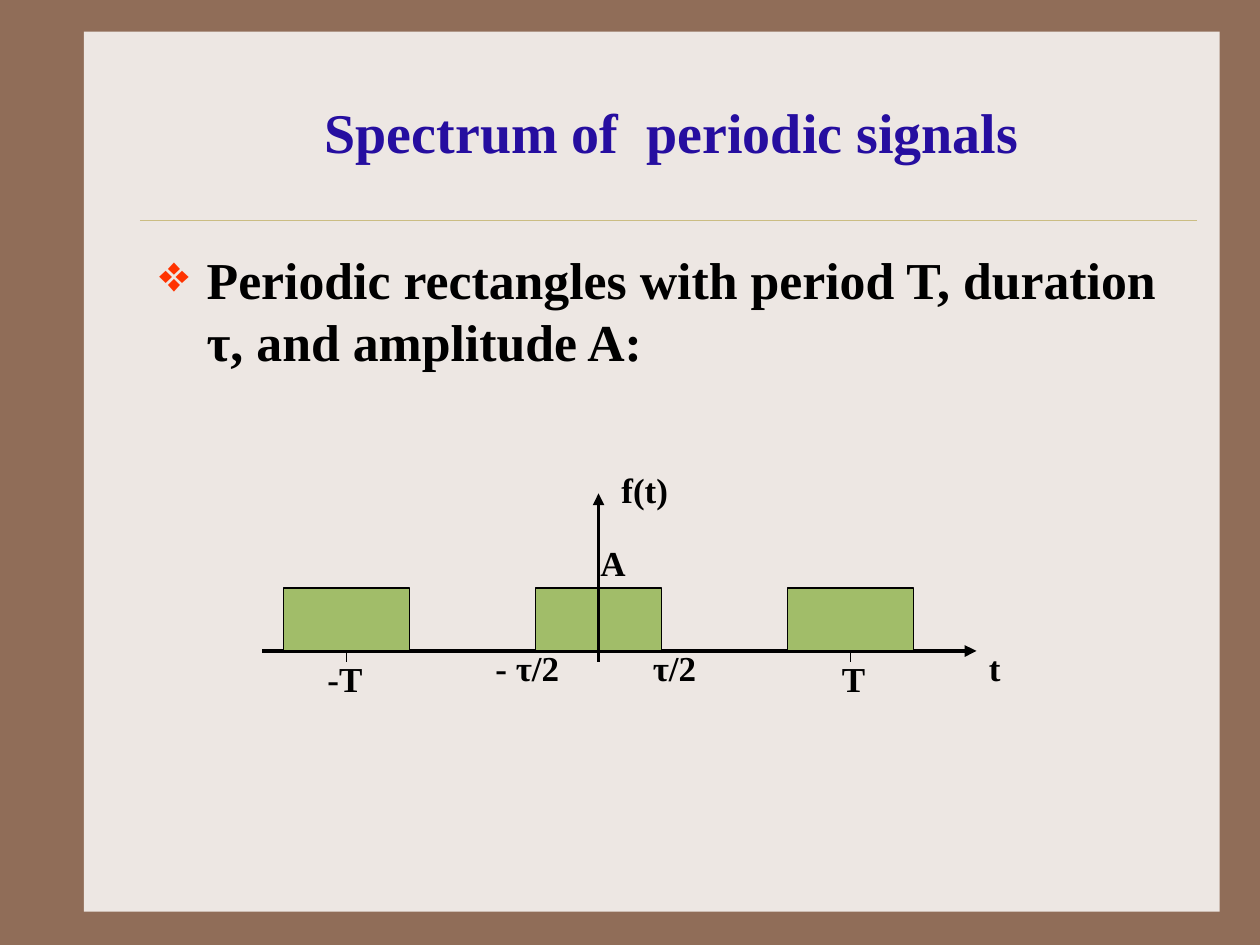
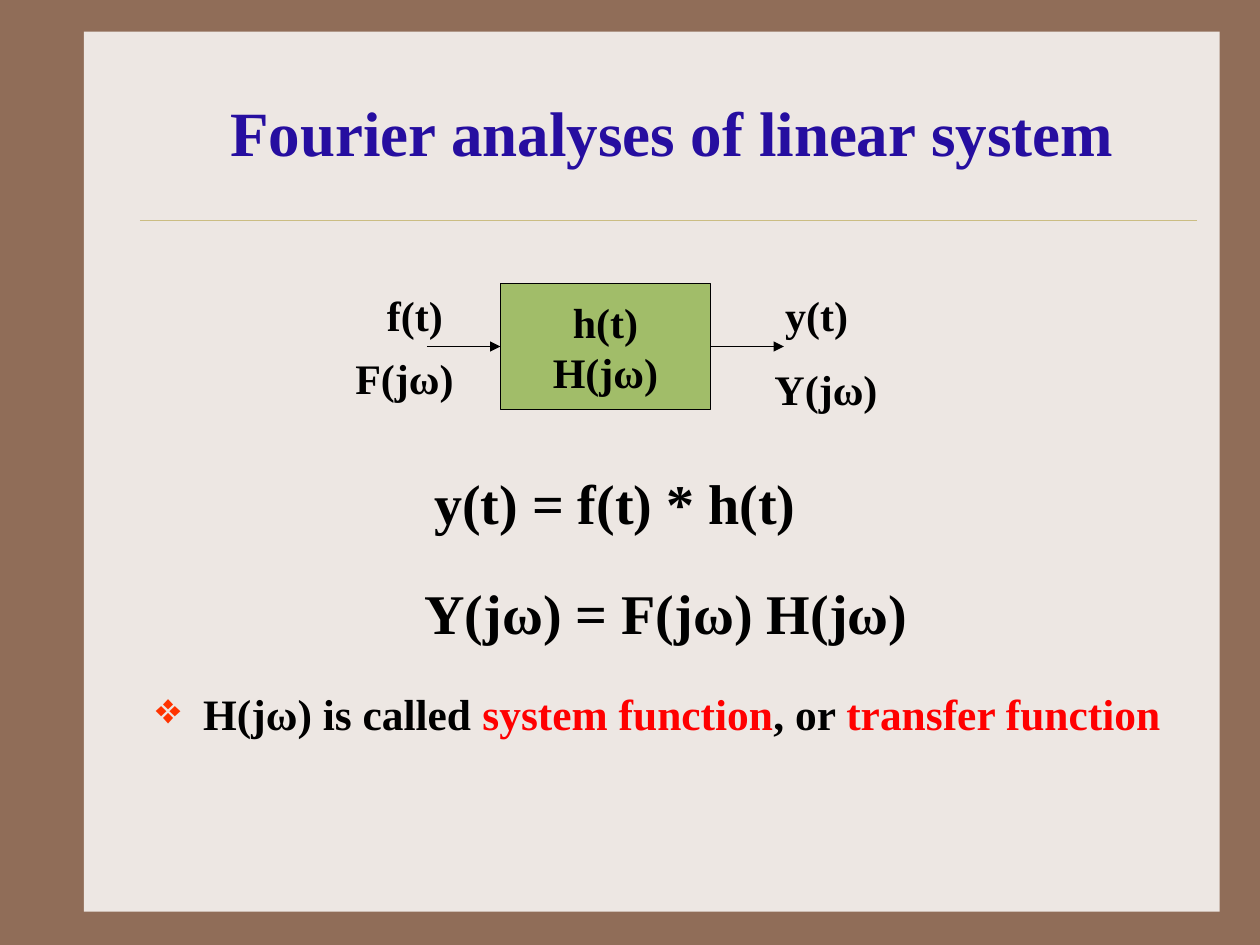
from pptx import Presentation
from pptx.dml.color import RGBColor
from pptx.enum.shapes import MSO_CONNECTOR, MSO_SHAPE
from pptx.enum.text import MSO_ANCHOR, MSO_AUTO_SIZE, PP_ALIGN
from pptx.oxml.ns import qn
from pptx.util import Pt
from lxml.etree import SubElement

FONT = "Times New Roman"
COLORS = {
    "frame": "906D58",
    "panel": "EDE7E3",
    "rule": "CBBD83",
    "title": "260EA0",
    "ink": "000000",
    "pulse": "A1BD69",
    "bullet": "FF3300",
    "accent": "FF0000",
}


def paint(format, color):
    format.solid()
    format.fore_color.rgb = RGBColor.from_string(COLORS[color])


def style(run, size, color="ink"):
    font = run.font
    font.name, font.size, font.bold = FONT, Pt(size), True
    font.color.rgb = RGBColor.from_string(COLORS[color])


def style_all(frame, size, color="ink"):
    for para in frame.paragraphs:
        for run in para.runs:
            style(run, size, color)


def add_rect(slide, left, top, width, height, fill="pulse", border=True):
    rect = slide.shapes.add_shape(
        MSO_SHAPE.RECTANGLE, Pt(left), Pt(top), Pt(width), Pt(height))
    rect.shadow.inherit = False
    paint(rect.fill, fill)
    if border:
        paint(rect.line.fill, "ink")
        rect.line.width = Pt(0.75)
    else:
        rect.line.fill.background()
    return rect


def add_line(slide, start, end, width=0.75, color="ink", arrow=False):
    line = slide.shapes.add_connector(
        MSO_CONNECTOR.STRAIGHT, *(Pt(value) for value in (*start, *end)))
    paint(line.line.fill, color)
    line.line.width = Pt(width)
    if arrow:
        SubElement(line.line._get_or_add_ln(), qn("a:tailEnd"), type="triangle")
    SubElement(line.element.spPr, qn("a:effectLst"))
    return line


def add_label(slide, text, left, top, width, size):
    height = 1.2 * size + 7.5
    box = slide.shapes.add_textbox(Pt(left), Pt(top), Pt(width), Pt(height))
    frame = box.text_frame
    frame.word_wrap = True
    frame.text = text
    style_all(frame, size)


def add_bullet(slide, left, top, height, size, parts):
    """Add a bulleted paragraph from (text, color) parts."""
    box = slide.shapes.add_textbox(Pt(left), Pt(top), Pt(600), Pt(height))
    box.text_frame.word_wrap = True
    para = box.text_frame.paragraphs[0]
    para.space_before = Pt(8)
    for text, color in parts:
        run = para.add_run()
        run.text = text
        style(run, size, color)
    props = para._p.get_or_add_pPr()
    props.set("marL", str(Pt(27)))
    props.set("indent", str(-Pt(27)))
    tint = SubElement(props, qn("a:buClr"))
    SubElement(tint, qn("a:srgbClr"), val=COLORS["bullet"])
    SubElement(props, qn("a:buChar"), char="❖")


def add_page(deck, text, size):
    """Add a slide with the panel, the rule and its title."""
    slide = deck.slides.add_slide(deck.slide_layouts.get_by_name("Title Only"))
    add_rect(slide, 48, 18, 649, 503, "panel", border=False)
    add_line(slide, (80, 126), (684, 126), 0.25, "rule")
    title = slide.shapes.title
    title.element.getparent().append(title.element)  # bring above the panel
    title.left, title.top, title.width, title.height = map(Pt, (84, 30, 600, 90))
    frame = title.text_frame
    frame.text = text
    frame.auto_size = MSO_AUTO_SIZE.NONE
    frame.vertical_anchor = MSO_ANCHOR.MIDDLE
    frame.paragraphs[0].alignment = PP_ALIGN.CENTER
    style_all(frame, size, "title")
    return slide


def add_train(slide):
    """Draw the pulse train on its axes."""
    base, mid, period, wide, high = 372, 342, 144, 72, 36
    add_line(slide, (150, base), (558, base), 2.25, arrow=True)
    for x in (mid - period, mid + period):
        add_line(slide, (x, base - 12), (x, base + 6))
    for step in (-1, 0, 1):
        left = mid + step * period - wide / 2
        add_rect(slide, left, base - high, wide, high)
    for text, left, top, width in (
        ("-T", 180, 372, 48),
        ("T", 474, 372, 54),
        ("A", 336, 306, 36),
        ("- τ/2", 276, 366, 78),
        ("τ/2", 366, 366, 66),
        ("f(t)", 348, 264, 78),
        ("t", 558, 366, 60),
    ):
        add_label(slide, text, left, top, width, 20)
    add_line(slide, (mid, base + 6), (mid, 282), 2.25, arrow=True)


def add_system(slide):
    """Draw the system block with its input and output."""
    left, top, wide, high, reach = 286, 162, 120, 72, 42
    block = add_rect(slide, left, top, wide, high)
    frame = block.text_frame
    frame.text = "h(t)\nH(jω)"
    frame.word_wrap = False
    frame.vertical_anchor = MSO_ANCHOR.MIDDLE
    for para in frame.paragraphs:
        para.alignment = PP_ALIGN.CENTER
    style_all(frame, 24)
    mid, right = top + high / 2, left + wide
    inlet = add_line(slide, (left - reach, mid), (left, mid), arrow=True)
    inlet.end_connect(block, 1)
    outlet = add_line(slide, (right, mid), (right + reach, mid), arrow=True)
    outlet.begin_connect(block, 3)
    for text, x, y, width in (
        ("f(t)", 214, 162, 54),
        ("y(t)", 441.5, 162, 54),
        ("F(jω)", 196, 198, 78),
        ("Y(jω)", 435.5, 204, 78),
    ):
        add_label(slide, text, x, y, width, 24)


def main():
    deck = Presentation()
    deck.slide_width, deck.slide_height = Pt(720), Pt(540)
    paint(deck.slide_master.background.fill, "frame")

    signal = add_page(deck, "Spectrum of  periodic signals", 32)
    add_bullet(signal, 84, 138, 84, 29.6, [
        ("Periodic rectangles with period T, duration τ, and amplitude A:", "ink"),
    ])
    add_train(signal)

    linear = add_page(deck, "Fourier analyses of linear system", 36)
    add_bullet(linear, 82, 389, 48, 24.8, [
        ("H(jω) is called ", "ink"),
        ("system function", "accent"),
        (", or ", "ink"),
        ("transfer function", "accent"),
    ])
    add_system(linear)
    add_label(linear, "y(t) = f(t) * h(t)", 241, 264, 354, 32)
    add_label(linear, "Y(jω) = F(jω) H(jω)", 235.5, 327, 384, 32)

    deck.save("out.pptx")


if __name__ == "__main__":
    main()
